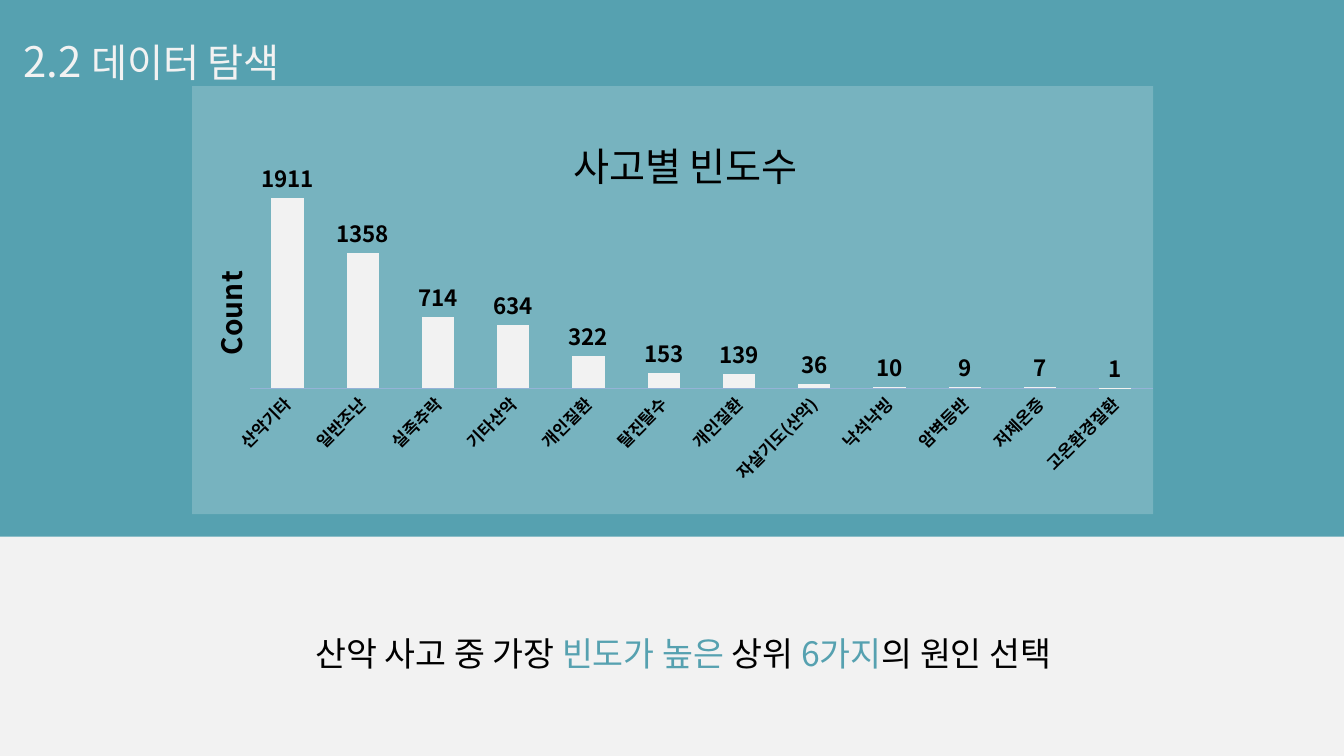
import lxml.etree
import pptx
import pptx.chart.data
import pptx.dml.color
import pptx.enum.chart
import pptx.enum.shapes
import pptx.enum.text
import pptx.oxml.ns
import pptx.util

RGBColor = pptx.dml.color.RGBColor
TEAL = RGBColor(0x56, 0xA1, 0xB0)
PALE = RGBColor(0xF2, 0xF2, 0xF2)
BLACK = RGBColor(0, 0, 0)
BLUE = RGBColor(0x95, 0xB3, 0xD7)
FACE = "Noto Sans CJK KR"
WIDE, HIGH = 13.33, 7.5
COUNTS = [
    ("산악기타", 1911), ("일반조난", 1358), ("실족추락", 714), ("기타산악", 634),
    ("개인질환", 322), ("탈진탈수", 153), ("개인질환", 139), ("자살기도(산악)", 36),
    ("낙석낙빙", 10), ("암벽등반", 9), ("저체온증", 7), ("고온환경질환", 1),
]
qn = pptx.oxml.ns.qn
Pt = pptx.util.Pt


def scale(box):
    """Turn a box in shares of the slide into lengths."""
    sides = (WIDE, HIGH, WIDE, HIGH)
    return [pptx.util.Inches(part * side) for part, side in zip(box, sides)]


def add_node(parent, tag, **attrs):
    """Append an XML element with its attributes."""
    return lxml.etree.SubElement(parent, qn(tag), attrs)


def set_font(font, size, color, bold=False):
    """Style a font."""
    font.size, font.bold, font.name = Pt(size), bold, FACE
    font.color.rgb = color


def add_run(line, text, size, color, bold=False):
    """Add one styled run to a paragraph."""
    run = line.add_run()
    run.text = text
    set_font(run.font, size, color, bold)


def set_korean(root):
    """Use the Latin typeface for Korean letters too."""
    for latin in list(root.iter(qn("a:latin"))):
        if latin.get("typeface") == FACE:
            latin.addnext(latin.makeelement(qn("a:ea"), {"typeface": FACE}))


def add_line(slide, box, parts, align):
    """Place a line of text made of (text, size, color) parts."""
    frame = slide.shapes.add_textbox(*scale(box)).text_frame
    frame.word_wrap = True
    frame.auto_size = pptx.enum.text.MSO_AUTO_SIZE.SHAPE_TO_FIT_TEXT
    line = frame.paragraphs[0]
    line.alignment, line.line_spacing = align, 1.5
    for part in parts:
        add_run(line, *part)


def add_band(slide, box):
    """Fill the upper part of the slide with teal."""
    band = slide.shapes.add_shape(pptx.enum.shapes.MSO_SHAPE.RECTANGLE, *scale(box))
    band.shadow.inherit = False
    band.fill.solid()
    band.fill.fore_color.rgb = TEAL
    band.line.fill.background()


def set_place(parent, index, target=None, **shares):
    """Give a chart part a manual layout in shares of the chart."""
    for old in parent.findall(qn("c:layout")):
        parent.remove(old)
    layout = parent.makeelement(qn("c:layout"), {})
    parent.insert(index, layout)
    manual = add_node(layout, "c:manualLayout")
    if target:
        add_node(manual, "c:layoutTarget", val=target)
    for key in ("x", "y"):
        add_node(manual, f"c:{key}Mode", val="edge")
    for key, share in shares.items():
        add_node(manual, f"c:{key}", val=str(share))


def add_title(title, text, size, bold, x, y):
    """Write and place a chart or axis title."""
    add_run(title.text_frame.paragraphs[0], text, size, BLACK, bold)
    set_place(title.element, 1, x=x, y=y)


def turn(element, angle):
    """Rotate the text of a chart part by an angle in degrees."""
    body = element.find(".//" + qn("a:bodyPr"))
    body.set("rot", str(angle * 60000))
    body.set("vert", "horz")


def add_glass(chart):
    """Lay a thin white veil behind the chart."""
    root = chart.element
    props = root.makeelement(qn("c:spPr"), {})
    root.find(qn("c:chart")).addnext(props)
    color = add_node(add_node(props, "a:solidFill"), "a:srgbClr", val="FFFFFF")
    add_node(color, "a:alpha", val="20000")
    add_node(add_node(props, "a:ln"), "a:noFill")


def style_axes(chart):
    """Style the category axis and hide the value axis."""
    names, values = chart.category_axis, chart.value_axis
    none = pptx.enum.chart.XL_TICK_MARK.NONE
    names.major_tick_mark = names.minor_tick_mark = none
    names.has_major_gridlines = values.has_major_gridlines = False
    names.format.line.color.rgb, names.format.line.width = BLUE, Pt(0.25)
    set_font(names.tick_labels.font, 12, BLACK, True)
    turn(chart.element.find(f".//{qn('c:catAx')}/{qn('c:txPr')}"), -45)
    values.minimum_scale, values.maximum_scale = 0, 2500
    values.visible = False
    add_title(values.axis_title, "Count", 20, True, 0.01, 0.42)
    turn(values.axis_title.element, -90)


def add_bars(slide, box):
    """Place the column chart of accident counts."""
    data = pptx.chart.data.CategoryChartData()
    data.categories = [name for name, count in COUNTS]
    data.add_series("Series 1", [count for name, count in COUNTS])
    kind = pptx.enum.chart.XL_CHART_TYPE.COLUMN_CLUSTERED
    chart = slide.shapes.add_chart(kind, *scale(box), data).chart
    chart.has_legend = False
    chart.font.size, chart.font.name = Pt(10), "Calibri"
    chart.font.color.rgb = BLACK
    add_glass(chart)
    add_title(chart.chart_title, "사고별 빈도수", 28, False, 0.39, 0.09)
    plot = chart.plots[0]
    plot.gap_width, plot.overlap, plot.vary_by_categories = 133, 4, False
    fill = plot.series[0].format.fill
    fill.solid()
    fill.fore_color.rgb = PALE
    plot.has_data_labels = True
    labels = plot.data_labels
    labels.show_value = True
    labels.position = pptx.enum.chart.XL_LABEL_POSITION.OUTSIDE_END
    set_font(labels.font, 16, BLACK, True)
    style_axes(chart)
    area = chart.element.find(".//" + qn("c:plotArea"))
    set_place(area, 0, "inner", x=0.06, y=0.125, w=0.94, h=0.58)
    set_korean(chart.element)


def build(slide):
    """Compose the slide from band, heading, chart and summary."""
    slide.background.fill.solid()
    slide.background.fill.fore_color.rgb = PALE
    align = pptx.enum.text.PP_ALIGN
    add_band(slide, (0, 0, 1, 0.71))
    heading = [("2.2 ", 30, PALE), ("데이터 탐색", 28, PALE)]
    add_line(slide, (0.01, 0.007, 0.4, 0.107), heading, align.LEFT)
    summary = [
        ("산악 사고 중 가장 ", 24, BLACK), ("빈도가 높은 ", 24, TEAL),
        ("상위 ", 24, BLACK), ("6가지", 24, TEAL), ("의 원인 선택", 24, BLACK),
    ]
    add_line(slide, (0.17, 0.804, 0.677, 0.088), summary, align.CENTER)
    add_bars(slide, (0.143, 0.114, 0.715, 0.566))
    set_korean(slide.element)


def main():
    """Create and save the presentation."""
    deck = pptx.Presentation()
    deck.slide_width, deck.slide_height = scale((1, 1, 0, 0))[:2]
    build(deck.slides.add_slide(deck.slide_layouts[6]))
    deck.save("out.pptx")


if __name__ == "__main__":
    main()
